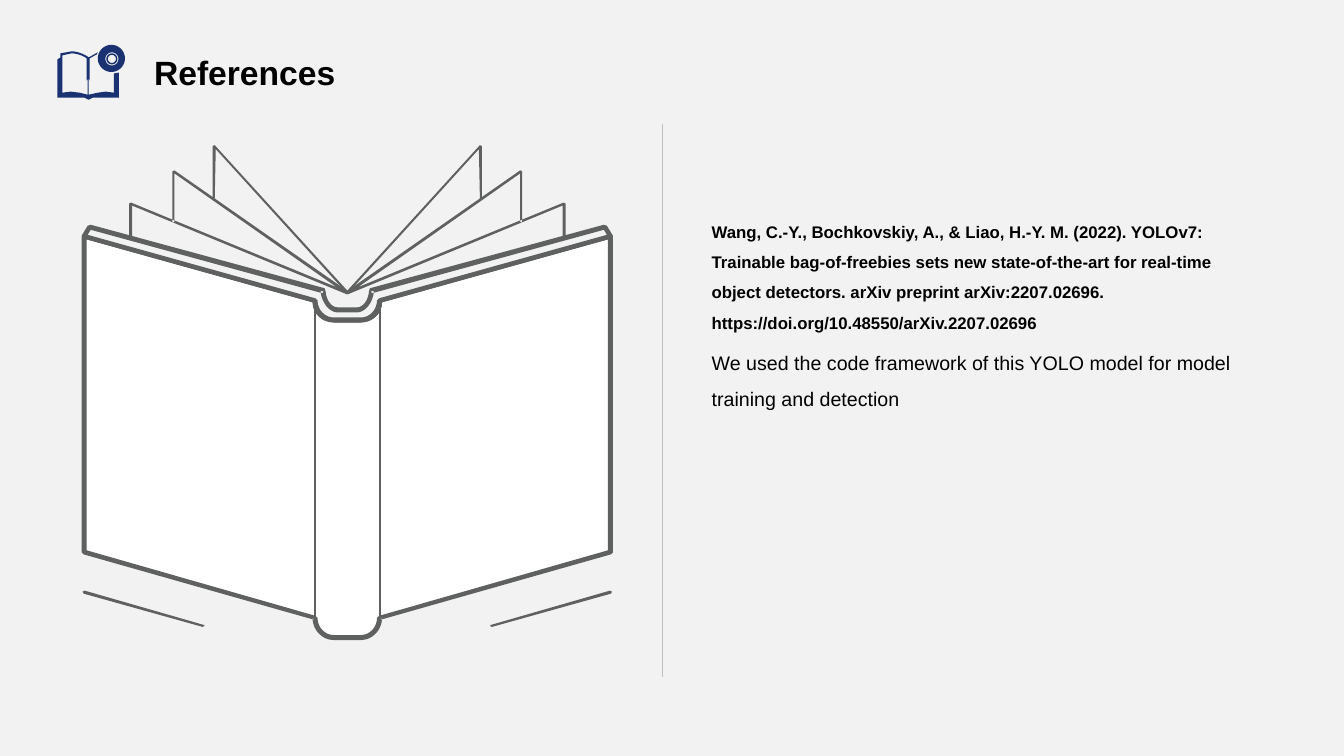
import math

from lxml import etree
from pptx import Presentation
from pptx import util as u
from pptx.dml.color import RGBColor
from pptx.enum import shapes, text
from pptx.oxml.ns import qn

# Grid: one cell is a hundredth of an inch
COLS, ROWS = 1333, 750
CELL = u.Inches(0.01)
FINE = 10  # outline steps per cell
SPINE_X = 344.5  # axis of the open book


def color(value):
    return RGBColor.from_string(value)


def bend(start, corner, end, steps=8):
    """Points of a rounded corner from start to end."""
    k = 0.55
    pts = []
    for i in range(steps + 1):
        t = i / steps
        s = 1 - t
        pts.append(tuple(
            s**3 * a + 3 * s * s * t * (a + k * (c - a))
            + 3 * s * t * t * (b + k * (c - b)) + t**3 * b
            for a, c, b in zip(start, corner, end)))
    return pts


def circle(cx, cy, radius, steps=40):
    angles = [2 * math.pi * i / steps for i in range(steps)]
    return [(cx + radius * math.cos(a), cy + radius * math.sin(a)) for a in angles]


def mirror(pts):
    return [(2 * SPINE_X - x, y) for x, y in reversed(pts)]


def both_sides(pts):
    return pts + mirror(pts)


class Deck:
    font = "Arial"
    paper, ink, rule = "F2F2F2", "000000", "BFBFBF"
    navy, gray, white = "1A3172", "5F6160", "FFFFFF"

    def __init__(self):
        self.prs = Presentation()
        self.prs.slide_width = COLS * CELL
        self.prs.slide_height = ROWS * CELL
        self.slide = None

    def add_slide(self):
        self.slide = self.prs.slides.add_slide(self.prs.slide_layouts[6])
        fill = self.slide.background.fill
        fill.solid()
        fill.fore_color.rgb = color(self.paper)

    def outline(self, fill, *contours):
        """One filled shape; a contour inside another cuts a hole."""
        builder = None
        for contour in contours:
            pts = [(round(x * FINE), round(y * FINE)) for x, y in contour]
            if builder is None:
                builder = self.slide.shapes.build_freeform(*pts[0], scale=CELL / FINE)
            else:
                builder.move_to(*pts[0])
            builder.add_line_segments(pts[1:], close=True)
        sp = builder.convert_to_shape()
        sp.shadow.inherit = False
        sp.fill.solid()
        sp.fill.fore_color.rgb = color(fill)
        sp.line.fill.background()

    def outline_pair(self, fill, contour):
        self.outline(fill, contour)
        self.outline(fill, mirror(contour))

    def line(self, x1, y1, x2, y2, width):
        ends = [n * CELL for n in (x1, y1, x2, y2)]
        ln = self.slide.shapes.add_connector(shapes.MSO_CONNECTOR.STRAIGHT, *ends)
        ln.line.color.rgb = color(self.rule)
        ln.line.width = u.Pt(width)
        etree.SubElement(ln._element.spPr, qn("a:effectLst"))

    def text(self, x, y, w, h, paragraphs, spacing, after=0,
             anchor=text.MSO_ANCHOR.TOP):
        box = self.slide.shapes.add_textbox(*[n * CELL for n in (x, y, w, h)])
        tf = box.text_frame
        tf.word_wrap = True
        tf.vertical_anchor = anchor
        for i, (words, size, bold) in enumerate(paragraphs):
            p = tf.add_paragraph() if i else tf.paragraphs[0]
            p.line_spacing = spacing
            p.space_after = u.Pt(after)
            r = p.add_run()
            r.text = words
            r.font.name = self.font
            r.font.size = u.Pt(size)
            r.font.bold = bold
            r.font.color.rgb = color(self.ink)


def draw_icon(deck):
    book = [*bend((71, 51), (81, 51), (88, 57)), (97, 52), (96, 54), (89, 58),
            (89, 80), (88, 78), (88, 94), (97, 92), (105, 91), (113, 92),
            (113, 73), (118, 72), (118, 97), (92, 97), (88, 99), (84, 97),
            (57, 97), (57, 59), (60, 57), (60, 53)]
    left_page = [(62, 55), (62, 92), (70, 91), (79, 92), (87, 94), (87, 78),
                 (86, 80), *bend((86, 58), (80, 53), (71, 53))]
    rings = [circle(111, 58.5, radius) for radius in (6.5, 5.5, 4)]
    deck.outline(deck.navy, book, left_page, circle(110.5, 58, 13.5), *rings)


def draw_book(deck):
    # Top edge of the cover
    rim = [*bend((331, 320), (310, 320), (310, 300)), (83, 237), (81, 234),
           (87, 224), (90, 223), (322, 286),
           *bend((323, 289), (324, 305), (335, 305))]
    rim_gap = [*bend((331, 315), (315, 315), (315, 298)), (313, 296), (87, 233),
               (90, 228), (320, 291), (321, 289),
               *bend((318, 289), (320, 310), (335, 310))]
    deck.outline(deck.gray, both_sides(rim), both_sides(rim_gap))

    # White covers and spine, with a dark upper edge
    cover = [*bend((331, 320), (310, 320), (310, 300)), (84, 237), (84, 548),
             *bend((312, 613), (312, 632), (331, 632))]
    edge = [*bend((331, 317), (312, 317), (312, 298)), (84, 235), (84, 237),
            *bend((310, 300), (310, 320), (331, 320))]
    deck.outline(deck.white, both_sides(cover))
    deck.outline(deck.gray, both_sides(edge))

    # Sides and bottom of the cover
    border = [*bend((331, 635), (310, 635), (310, 613)), (312, 615), (83, 550),
              (81, 548), (81, 235), (84, 232), (86, 235), (86, 546), (313, 611),
              *bend((315, 613), (315, 630), (331, 630))]
    deck.outline(deck.gray, both_sides(border))

    # Ground strokes, spine folds and fanned pages
    ground = [(83, 589), (201, 622), (203, 621), (202, 620), (84, 586), (82, 587)]
    fold = [(311, 297), (313, 297), (313, 614), (311, 614)]
    low_pages = [(173, 220), (173, 172), (334, 285), (130, 201), (128, 202),
                 (128, 235), (129, 236), (131, 235), (131, 204), (344, 292),
                 (346, 291), (345, 289), (173, 169), (171, 170), (171, 220),
                 (172, 221)]
    top_page = [(213, 198), (214, 148), (344, 291), (346, 291), (346, 290),
                (213, 144), (211, 145), (211, 198), (212, 199)]
    for part in (ground, fold, low_pages, top_page):
        deck.outline_pair(deck.gray, part)


def main():
    deck = Deck()
    deck.add_slide()
    draw_icon(deck)
    draw_book(deck)

    # Divider
    deck.line(657, 123, 657, 672, 0.25)

    # Reference and title
    deck.text(696, 205, 564, 398, [
        ("Wang, C.-Y., Bochkovskiy, A., & Liao, H.-Y. M. (2022). YOLOv7: "
         "Trainable bag-of-freebies sets new state-of-the-art for real-time "
         "object detectors. arXiv preprint arXiv:2207.02696. "
         "https://doi.org/10.48550/arXiv.2207.02696", 12, True),
        ("We used the code framework of this YOLO model for model training "
         "and detection", 14, False),
    ], spacing=1.5, after=5)
    deck.text(143, 24, 1187, 73, [("References", 24, True)], spacing=0.9,
              anchor=text.MSO_ANCHOR.BOTTOM)

    deck.prs.save("out.pptx")


if __name__ == "__main__":
    main()
